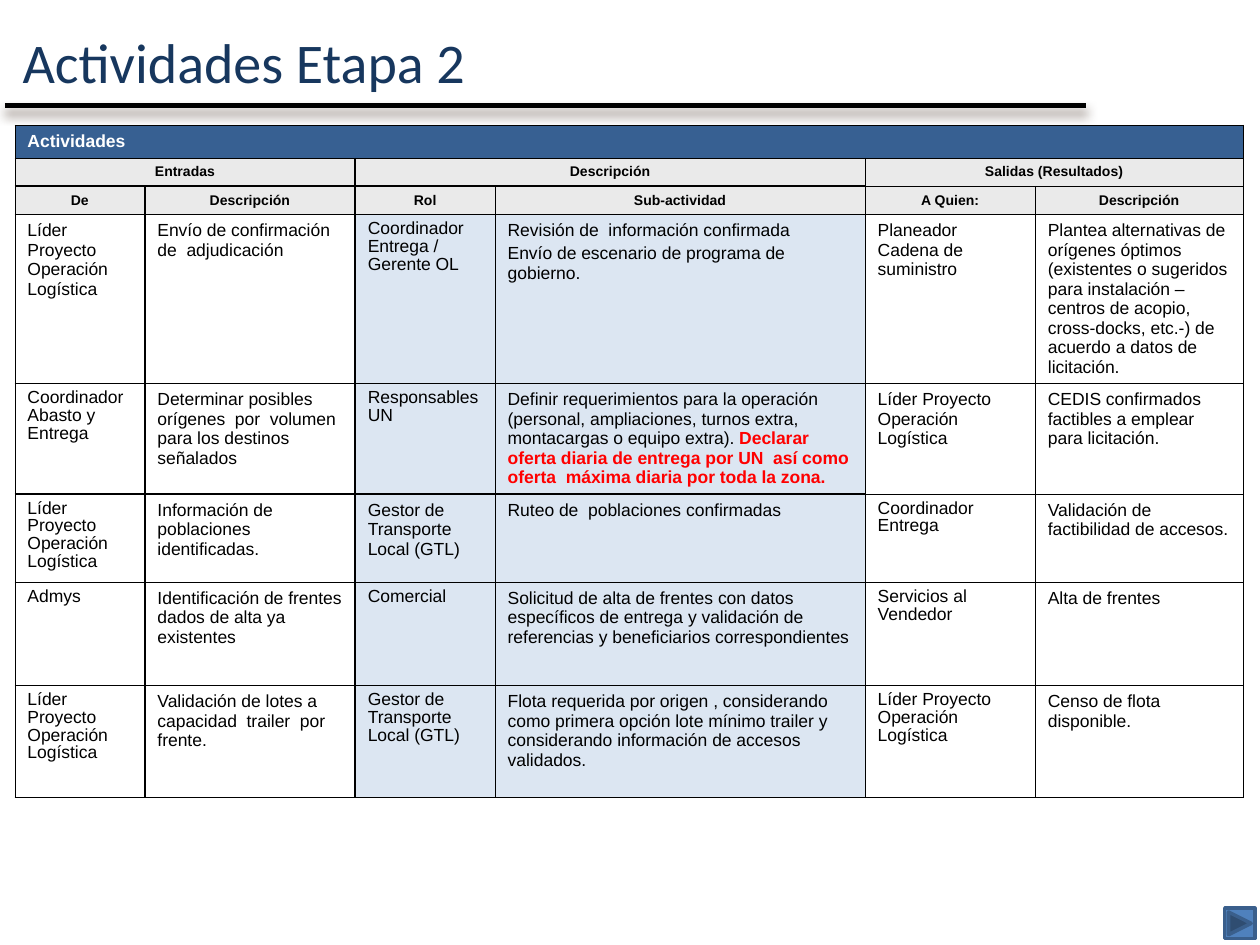
from lxml import etree
from pptx import Presentation
from pptx.dml.color import RGBColor
from pptx.enum.shapes import MSO_CONNECTOR as Connector, MSO_SHAPE as Shape
from pptx.enum.text import MSO_ANCHOR as Anchor, PP_ALIGN as Align
from pptx.oxml import parse_xml
from pptx.oxml.ns import nsdecls, qn
from pptx.util import Cm, Pt

COLUMNS = [2.62, 4.24, 2.82, 7.46, 3.43, 4.19]
ROWS = [0.66, 0.56, 0.56, 2.16, 1.78, 1.78, 2.08, 2.26]
HEADINGS = [
    ["Actividades"],
    ["Entradas", "", "Descripción", "", "Salidas (Resultados)", ""],
    ["De", "Descripción", "Rol", "Sub-actividad", "A Quien:", "Descripción"],
]
# A line break starts a paragraph; text after a bar is highlighted
ACTIVITIES = [
    ["Líder Proyecto Operación Logística",
     "Envío de confirmación  de  adjudicación",
     "Coordinador Entrega / Gerente OL",
     "Revisión de  información confirmada\n"
     "Envío de escenario de programa de gobierno.",
     "Planeador Cadena de suministro",
     "Plantea alternativas de orígenes óptimos (existentes o sugeridos para "
     "instalación –centros de acopio, cross-docks, etc.-) de acuerdo a datos "
     "de  licitación."],
    ["Coordinador Abasto y Entrega",
     "Determinar posibles orígenes  por  volumen para los destinos señalados",
     "Responsables UN",
     "Definir requerimientos para la operación (personal, ampliaciones, turnos "
     "extra, montacargas o equipo extra). |Declarar  oferta diaria de entrega "
     "por UN  así como oferta  máxima diaria por toda la zona.",
     "Líder Proyecto Operación Logística",
     "CEDIS confirmados factibles a emplear para licitación."],
    ["Líder Proyecto Operación Logística",
     "Información de poblaciones identificadas.",
     "Gestor de Transporte Local (GTL)",
     "Ruteo de  poblaciones confirmadas",
     "Coordinador Entrega",
     "Validación de  factibilidad de accesos."],
    ["Admys",
     "Identificación de frentes dados de alta ya existentes",
     "Comercial",
     "Solicitud de alta de frentes con datos específicos de entrega y "
     "validación de referencias y beneficiarios correspondientes",
     "Servicios al Vendedor",
     "Alta de frentes"],
    ["Líder Proyecto Operación Logística",
     "Validación de lotes a capacidad  trailer  por frente.",
     "Gestor de Transporte Local (GTL)",
     "Flota requerida por origen , considerando como primera opción lote mínimo "
     "trailer y considerando información de accesos validados.",
     "Líder Proyecto Operación Logística",
     "Censo de flota disponible."],
]
# Activity rows with tight line spacing, by column
TIGHT_ROWS = {0: (4, 5, 6, 7), 2: (3, 4, 6, 7), 4: (5, 6, 7)}


def color(value):
    return RGBColor.from_string(value)


class SlideBuilder:
    INK, NAVY, BAND, GRAY = "000000", "17375E", "376092", "EAEAEA"
    TINT, ALERT, BUTTON, BUTTON_EDGE = "DCE6F2", "FF0000", "4F81BD", "3A5F8C"

    def __init__(self, deck):
        self.page = deck.slides.add_slide(deck.slide_layouts[5])

    def title(self, text, left, top, width, height):
        box = self.page.shapes.title
        box.left, box.top = Cm(left), Cm(top)
        box.width, box.height = Cm(width), Cm(height)
        box.text_frame.vertical_anchor = Anchor.MIDDLE
        para = box.text_frame.paragraphs[0]
        para.text = text
        para.alignment = Align.LEFT
        self.style(para.font, 32, self.NAVY, name="Calibri")

    def rule(self, left, right, y):
        line = self.page.shapes.add_connector(
            Connector.STRAIGHT, Cm(left), Cm(y), Cm(right), Cm(y))
        line.line.color.rgb = color(self.INK)
        line.line.width = Pt(3)
        line._element.spPr.append(parse_xml(
            f'<a:effectLst {nsdecls("a")}><a:outerShdw blurRad="{Pt(6)}" '
            f'dist="{Pt(4)}" dir="5400000" rotWithShape="0">'
            '<a:srgbClr val="4E3B30"><a:alpha val="60000"/></a:srgbClr>'
            '</a:outerShdw></a:effectLst>'))

    def table(self, rows, left, top):
        table = self.page.shapes.add_table(
            len(ROWS), len(COLUMNS), Cm(left), Cm(top),
            Cm(sum(COLUMNS)), Cm(sum(ROWS))).table
        table.first_row = table.horz_banding = False
        for column, width in zip(table.columns, COLUMNS):
            column.width = Cm(width)
        for row, height in zip(table.rows, ROWS):
            row.height = Cm(height)
        for r in range(len(ROWS)):
            for c in range(len(COLUMNS)):
                text = rows[r][c] if c < len(rows[r]) else ""
                self.cell(table.cell(r, c), text, r, c)
        # Merged headings
        table.cell(0, 0).merge(table.cell(0, 5))
        for c in (0, 2, 4):
            table.cell(1, c).merge(table.cell(1, c + 1))

    def cell(self, cell, text, r, c):
        self.borders(cell, r, c)
        fill = (self.BAND if r == 0 else self.GRAY if r < 3
                else self.TINT if c in (2, 3) else None)
        if fill:
            cell.fill.solid()
            cell.fill.fore_color.rgb = color(fill)
        else:
            cell.fill.background()
        frame = cell.text_frame
        for i, line in enumerate(text.split("\n")):
            para = frame.add_paragraph() if i else frame.paragraphs[0]
            if i:
                para.space_before = Pt(2)
            if r in (1, 2):
                para.alignment = Align.CENTER
            if r in TIGHT_ROWS.get(c, ()):
                para.line_spacing = 0.9
            self.style(para.font, 8 if r in (1, 2) else 10,
                       self.INK if r else "FFFFFF", bold=r < 3)
            for j, part in enumerate(line.split("|")):
                span = para.add_run()
                span.text = part
                if j:
                    span.font.bold = True
                    span.font.color.rgb = color(self.ALERT)

    def borders(self, cell, r, c):
        # Thick lines separate the input and description columns
        body = r > 0 and c < 4
        thick = {"L": body and c in (1, 2), "R": body and c in (0, 1),
                 "T": body and r > 1, "B": body}
        properties = cell._tc.get_or_add_tcPr()
        for side, heavy in thick.items():
            edge = etree.SubElement(properties, qn(f"a:ln{side}"),
                                    w=str(Pt(1 if heavy else 0.25)))
            solid = etree.SubElement(edge, qn("a:solidFill"))
            etree.SubElement(solid, qn("a:srgbClr"), val=self.INK)

    def next_button(self, left, top, size):
        button = self.page.shapes.add_shape(
            Shape.ACTION_BUTTON_FORWARD_OR_NEXT,
            Cm(left), Cm(top), Cm(size), Cm(size))
        button.shadow.inherit = False
        button.fill.solid()
        button.fill.fore_color.rgb = color(self.BUTTON)
        button.line.color.rgb = color(self.BUTTON_EDGE)
        button.line.width = Pt(2)

    def style(self, font, size, ink, bold=False, name="Arial"):
        font.name, font.size, font.bold = name, Pt(size), bold
        font.color.rgb = color(ink)


def main():
    deck = Presentation()
    deck.slide_width, deck.slide_height = Cm(25.4), Cm(19.05)
    slide = SlideBuilder(deck)
    # Heading
    slide.title("Actividades Etapa 2", 0.2, 0.28, 20.12, 1.9)
    slide.rule(0.1, 21.9, 2.13)
    # Activities
    slide.table(HEADINGS + ACTIVITIES, 0.3, 2.52)
    # Navigation
    slide.next_button(24.69, 18.31, 0.61)
    deck.save("out.pptx")


if __name__ == "__main__":
    main()
